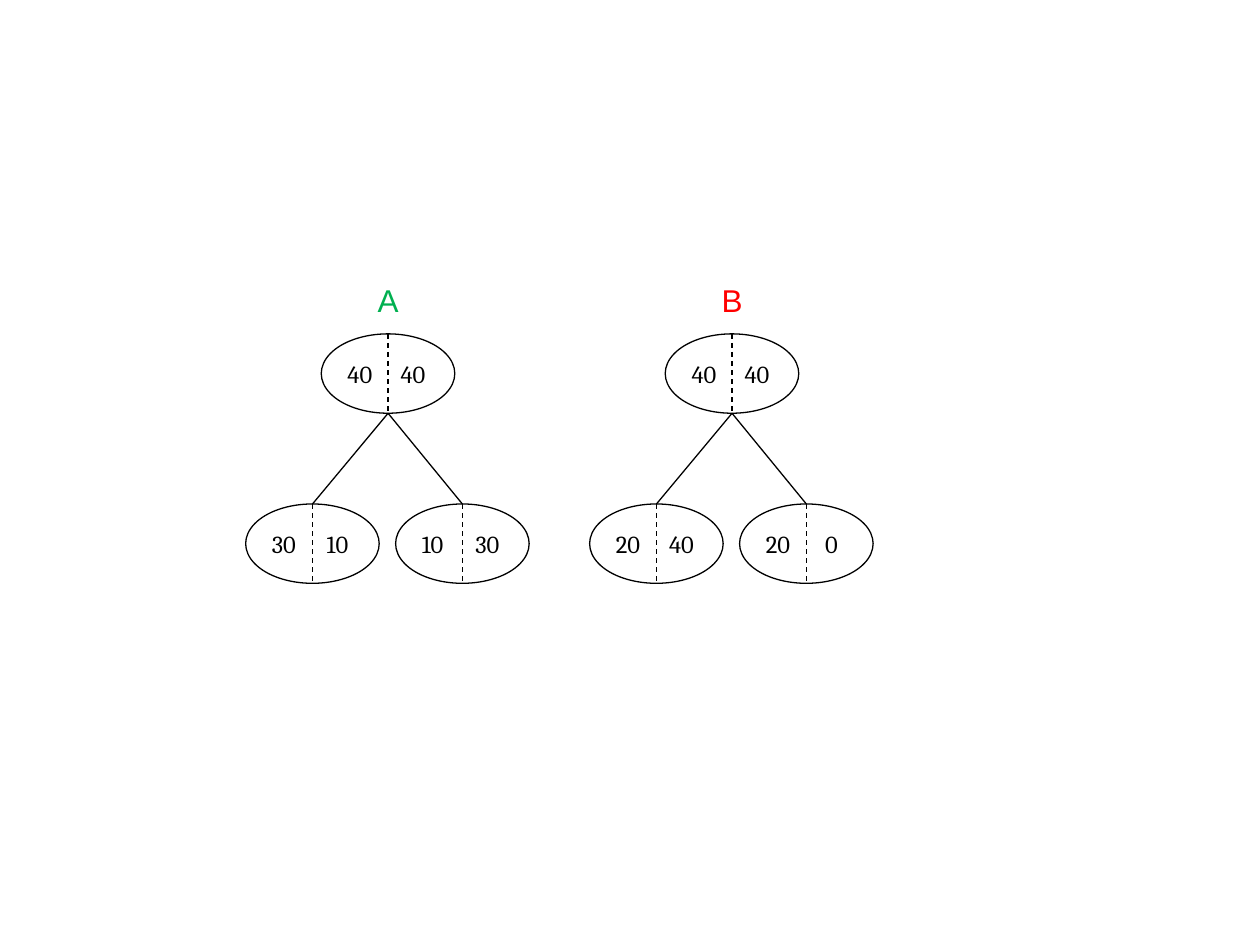
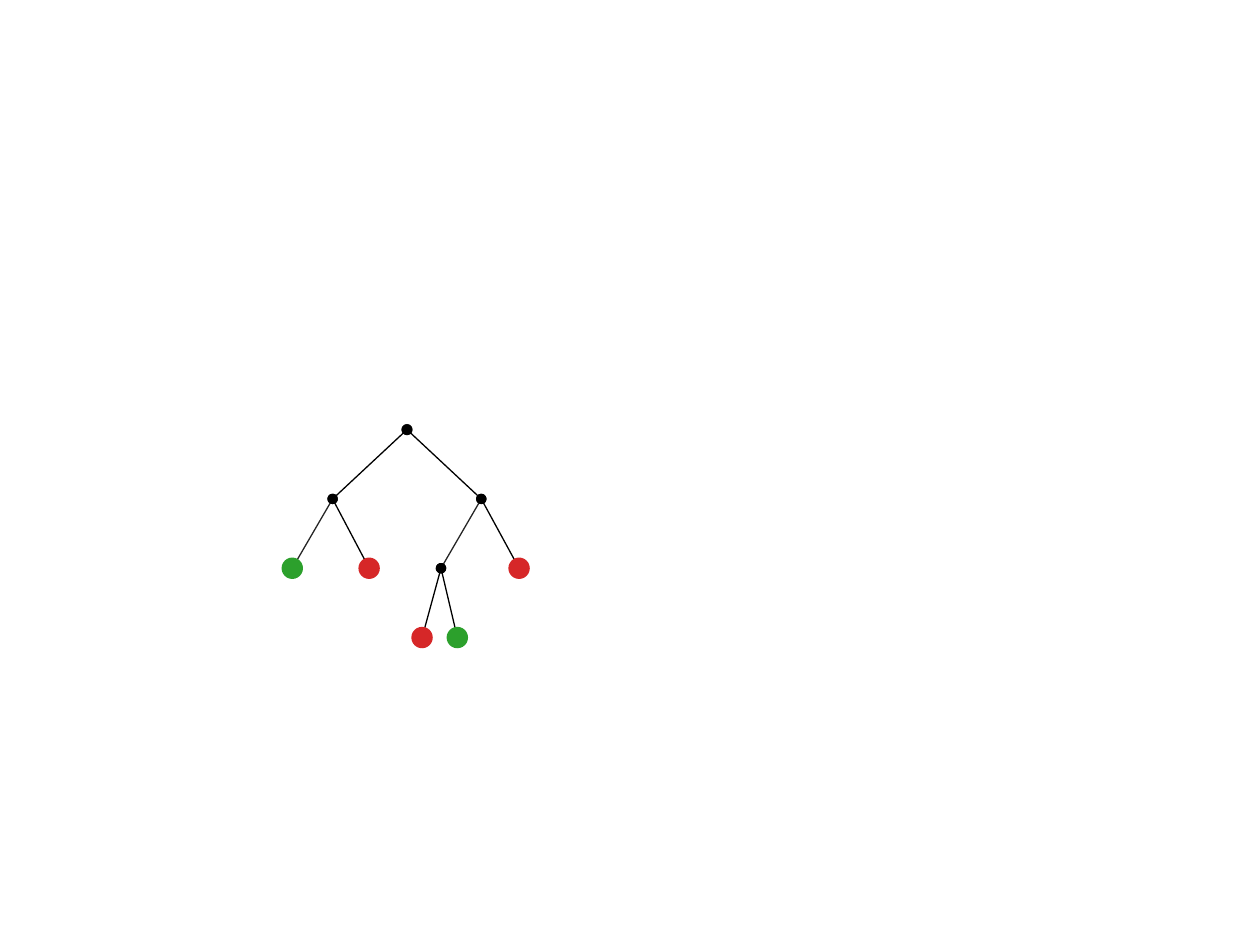
from lxml.etree import SubElement
from pptx import Presentation
from pptx.dml.color import RGBColor
from pptx.enum.dml import MSO_LINE_DASH_STYLE as Dash
from pptx.enum.shapes import MSO_CONNECTOR as Connector, MSO_SHAPE as Shape
from pptx.enum.text import MSO_ANCHOR as Anchor, PP_ALIGN as Align
from pptx.oxml.ns import qn
from pptx.util import Inches, Pt

BLACK, DARK, GREEN, RED = "000000", "262626", "2CA02C", "D62728"

SPLITS = [
    {"name": "A", "color": "00B050", "x": 3.08,
     "root": (40, 40), "children": [(30, 10), (10, 30)]},
    {"name": "B", "color": "FF0000", "x": 5.81,
     "root": (40, 40), "children": [(20, 40), (20, 0)]},
]
ROOT_TOP, CHILD_TOP = 2.65, 4.0
CHILD_SHIFTS = (-0.6, 0.59)
NODE_WIDTH, NODE_HEIGHT = 1.06, 0.63

TREE_TOP, LEVEL_GAP = 3.41, 0.55
ROOT_DOT, LEAF_DOT = 0.09, 0.17
TREE_NODES = {
    "root": (3.23, 0), "left": (2.64, 1), "right": (3.82, 1), "inner": (3.5, 2),
    "left green": (2.32, 2), "left red": (2.93, 2), "right red": (4.12, 2),
    "inner red": (3.35, 3), "inner green": (3.63, 3),
}
TREE_EDGES = [
    ("root", "left", BLACK), ("left", "left green", DARK), ("left", "left red", BLACK),
    ("root", "right", BLACK), ("right", "inner", DARK), ("right", "right red", BLACK),
    ("inner", "inner green", BLACK), ("inner", "inner red", BLACK),
]
LEAVES = {"left green": GREEN, "left red": RED, "right red": RED,
          "inner red": RED, "inner green": GREEN}


def rgb(color):
    """Turn a hex string into a colour."""
    return RGBColor.from_string(color)


def add_line(shapes, start, end, color=BLACK, dashed=False, dotted_ends=False):
    """Draw a thin straight line, optionally dashed or with round ends."""
    line = shapes.add_connector(Connector.STRAIGHT, *map(Inches, start + end))
    line.line.color.rgb = rgb(color)
    line.line.width = Pt(0.75)
    if dashed:
        line.line.dash_style = Dash.DASH
    properties = line._element.spPr
    if dotted_ends:
        for tag in ("a:headEnd", "a:tailEnd"):
            SubElement(properties.find(qn("a:ln")), qn(tag), type="oval")
    SubElement(properties, qn("a:effectLst"))


def add_ellipse(shapes, x, y, width, height, fill=None):
    """Draw an ellipse centred on a point, filled or outlined."""
    ellipse = shapes.add_shape(Shape.OVAL, Inches(x - width / 2), Inches(y - height / 2),
                               Inches(width), Inches(height))
    ellipse.shadow.inherit = False
    if fill:
        ellipse.fill.solid()
        ellipse.fill.fore_color.rgb = rgb(fill)
        ellipse.line.fill.background()
    else:
        ellipse.fill.background()
        ellipse.line.color.rgb = rgb(BLACK)
        ellipse.line.width = Pt(0.75)


def add_text(page, text, x, y, width, height, font, size, color, tab=None):
    """Write one line centred on a point, or tabbed from the left."""
    box = page.shapes.add_textbox(Inches(x - width / 2), Inches(y - height / 2),
                                  Inches(width), Inches(height))
    box.text_frame.word_wrap = True
    box.text_frame.vertical_anchor = Anchor.MIDDLE
    para = box.text_frame.paragraphs[0]
    para.text = text
    para.alignment = Align.LEFT if tab else Align.CENTER
    if tab:
        tabs = SubElement(para._p.get_or_add_pPr(), qn("a:tabLst"))
        SubElement(tabs, qn("a:tab"), pos=str(Inches(tab)), algn="ctr")
    para.font.name = font
    para.font.size = Pt(size)
    para.font.color.rgb = rgb(color)


def add_count_node(page, counts, x, top):
    """Draw a halved ellipse with a count on each side."""
    middle = top + NODE_HEIGHT / 2
    group = page.shapes.add_group_shape()
    add_ellipse(group.shapes, x, middle, NODE_WIDTH, NODE_HEIGHT)
    add_line(group.shapes, (x, top), (x, top + NODE_HEIGHT), dashed=True)
    add_text(page, "\t".join(map(str, counts)), x, middle, 0.84, 0.34,
             "Cambria", 14, BLACK, tab=0.52)


def build_splits(page):
    """Draw the two candidate splits side by side."""
    for split in SPLITS:
        x = split["x"]
        add_text(page, split["name"], x, 2.38, 0.37, 0.4, "Arial", 18, split["color"])
        for counts, shift in zip(split["children"], CHILD_SHIFTS):
            add_line(page.shapes, (x, ROOT_TOP + NODE_HEIGHT), (x + shift, CHILD_TOP))
            add_count_node(page, counts, x + shift, CHILD_TOP)
        add_count_node(page, split["root"], x, ROOT_TOP)


def build_tree(page):
    """Draw the decision tree with coloured leaves."""
    points = {name: (x, TREE_TOP + level * LEVEL_GAP)
              for name, (x, level) in TREE_NODES.items()}
    add_ellipse(page.shapes, *points["root"], ROOT_DOT, ROOT_DOT, DARK)
    for parent, child, color in TREE_EDGES:
        add_line(page.shapes, points[parent], points[child], color, dotted_ends=True)
    for name, color in LEAVES.items():
        add_ellipse(page.shapes, *points[name], LEAF_DOT, LEAF_DOT, color)


def main():
    """Build both slides and save the deck."""
    deck = Presentation()
    deck.slide_width, deck.slide_height = Inches(10), Inches(7.5)
    blank = deck.slide_layouts[6]
    for build in (build_splits, build_tree):
        build(deck.slides.add_slide(blank))
    deck.save("out.pptx")


if __name__ == "__main__":
    main()
